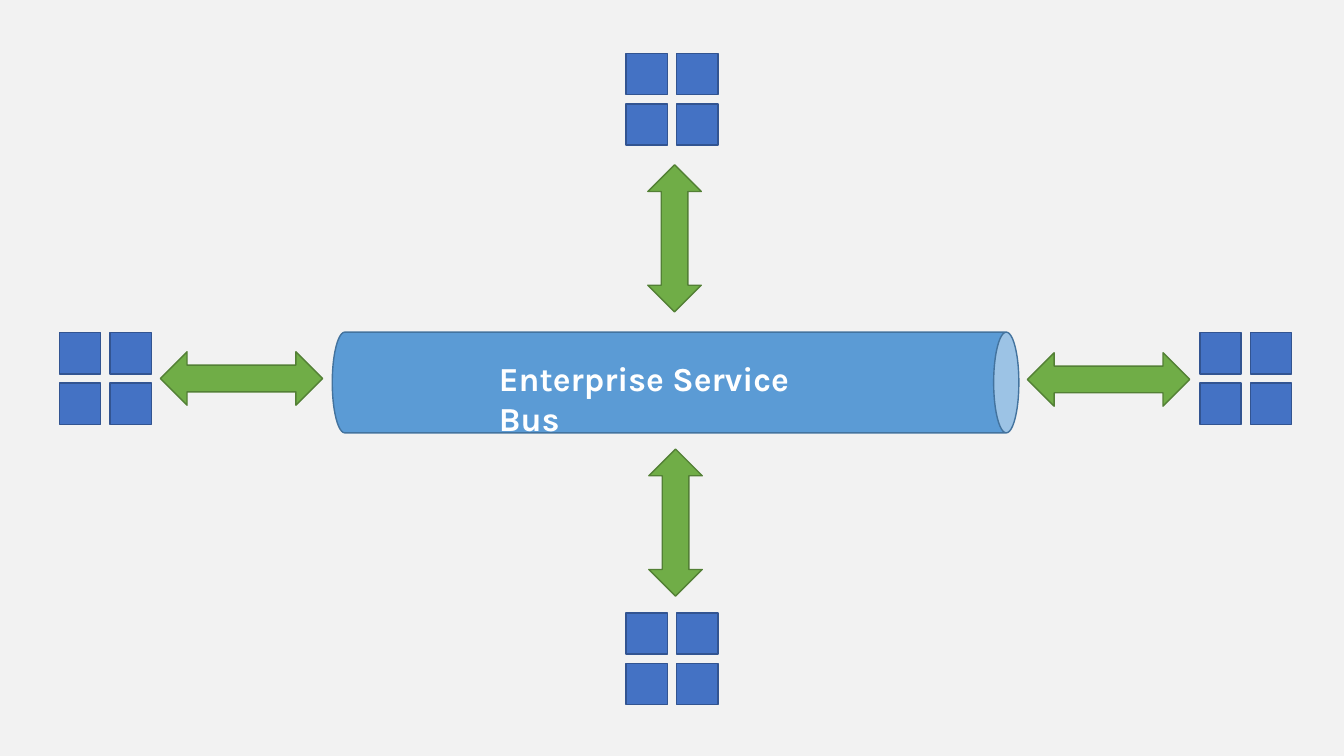
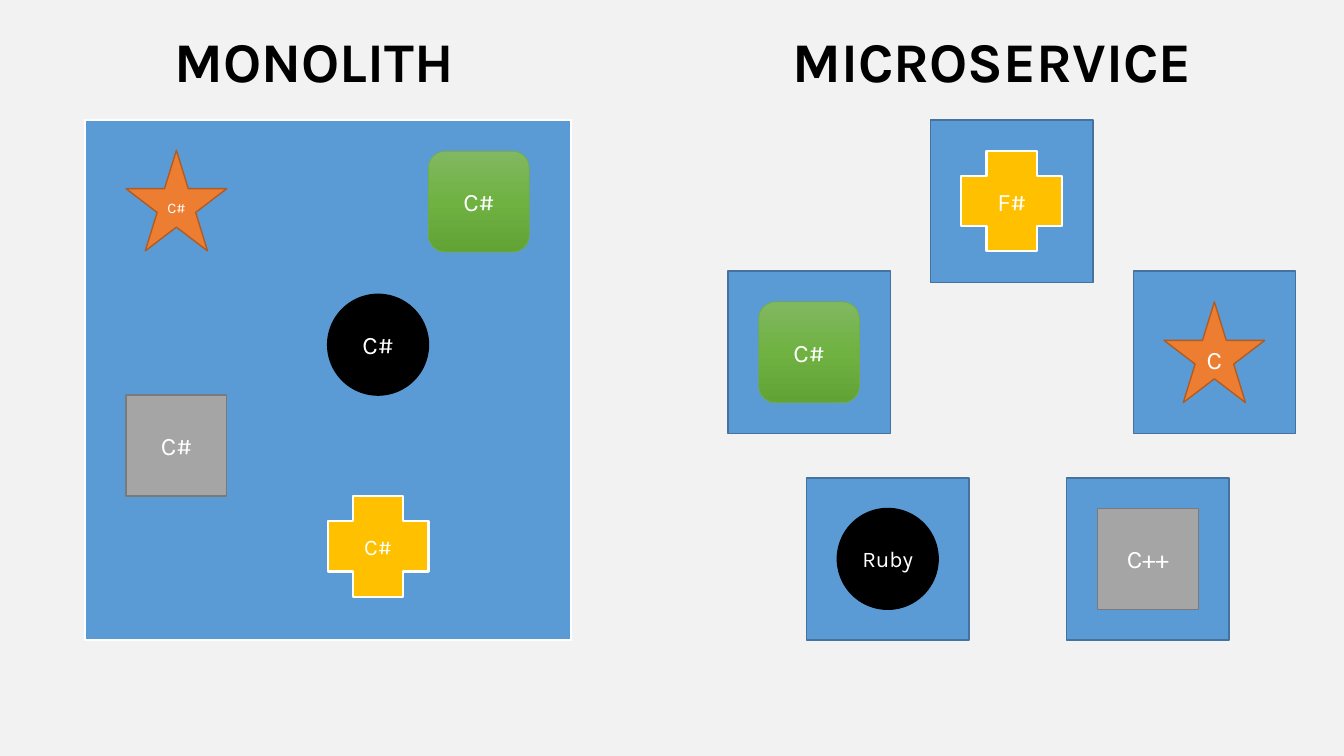
from copy import deepcopy

from pptx import Presentation
from pptx.dml.color import RGBColor
from pptx.enum.shapes import MSO_SHAPE as SHAPE
from pptx.enum.text import MSO_ANCHOR as ANCHOR, PP_ALIGN as ALIGN
from pptx.oxml.ns import qn
from pptx.util import Inches, Pt

FONT = "Karla"
PAPER = RGBColor(0xF2, 0xF2, 0xF2)
WHITE = RGBColor(0xFF, 0xFF, 0xFF)
BLACK = RGBColor(0x00, 0x00, 0x00)
SKY = RGBColor(0x5B, 0x9B, 0xD5)
SKY_EDGE = RGBColor(0x43, 0x73, 0x9E)
BLUE = RGBColor(0x44, 0x72, 0xC4)
BLUE_EDGE = RGBColor(0x32, 0x54, 0x91)
GREEN = RGBColor(0x70, 0xAD, 0x47)
GREEN_EDGE = RGBColor(0x53, 0x80, 0x35)
GREEN_FADE = (RGBColor(0x81, 0xB8, 0x61), RGBColor(0x6F, 0xB2, 0x42),
              RGBColor(0x62, 0xA3, 0x36))
ORANGE = RGBColor(0xED, 0x7D, 0x31)
ORANGE_EDGE = RGBColor(0xAF, 0x5C, 0x24)
GRAY = RGBColor(0xA5, 0xA5, 0xA5)
GRAY_EDGE = RGBColor(0x7A, 0x7A, 0x7A)
GOLD = RGBColor(0xFF, 0xC0, 0x00)

# Service symbols: preset, fill, line colour, line width
STAR = (SHAPE.STAR_5_POINT, ORANGE, ORANGE_EDGE, 1)
SQUARE = (SHAPE.RECTANGLE, GRAY, GRAY_EDGE, 1)
CROSS = (SHAPE.CROSS, GOLD, WHITE, 1.5)
DISC = (SHAPE.OVAL, BLACK, BLACK, 1)
ROUNDED = (SHAPE.ROUNDED_RECTANGLE, GREEN_FADE, GREEN, 0.5)

SYMBOL = 1      # side of a service symbol
TILE = 1.61     # side of a microservice tile
BLOCK = 0.41    # side of one block in a cluster
STEP = 0.5      # distance between blocks in a cluster


def write(tf, text, size=18, color=WHITE, bold=False, align=ALIGN.LEFT,
          anchor=ANCHOR.TOP):
    tf.word_wrap = True
    tf.vertical_anchor = anchor
    p = tf.paragraphs[0]
    p.alignment = align
    r = p.add_run()
    r.text = text
    r.font.name = FONT
    r.font.size = Pt(size)
    r.font.bold = bold
    r.font.color.rgb = color


def fade(fill, colors):
    """Fill from top to bottom with three evenly spaced colours."""
    fill.gradient()
    fill.gradient_angle = 270
    first = fill.gradient_stops[0]
    last = fill.gradient_stops[1]
    first.color.rgb, last.color.rgb = colors[0], colors[2]


class Deck:
    def __init__(self):
        self.prs = Presentation()
        self.prs.slide_width = Inches(13.33)
        self.prs.slide_height = Inches(7.5)
        bg = self.prs.slide_master.background.fill
        bg.solid()
        bg.fore_color.rgb = PAPER
        self.s = None

    def slide(self):
        self.s = self.prs.slides.add_slide(self.prs.slide_layouts[6])

    def shape(self, kind, x, y, w, h, fill, line, width=1, rotation=0,
              parent=None):
        shapes = (parent or self.s).shapes
        sp = shapes.add_shape(kind, Inches(x), Inches(y), Inches(w), Inches(h))
        sp.shadow.inherit = False
        sp.rotation = rotation
        if isinstance(fill, tuple) and not isinstance(fill, RGBColor):
            fade(sp.fill, fill)
            # The middle stop goes between the two standard ones
            stops = sp._element.spPr.find(qn("a:gradFill")).find(qn("a:gsLst"))
            middle = deepcopy(stops[0])
            middle.set("pos", "50000")
            middle.find(qn("a:srgbClr")).set("val", str(fill[1]))
            stops.insert(1, middle)
        else:
            sp.fill.solid()
            sp.fill.fore_color.rgb = fill
        sp.line.color.rgb = line
        sp.line.width = Pt(width)
        return sp

    def label(self, text, x, y, w, h, **style):
        box = self.s.shapes.add_textbox(Inches(x), Inches(y), Inches(w),
                                        Inches(h))
        write(box.text_frame, text, bold=True, **style)

    def title(self, text, x, w):
        self.label(text, x, 0.21, w, 0.77, size=40, color=BLACK)

    def cluster(self, x, y):
        """Group four blocks, two by two."""
        group = self.s.shapes.add_group_shape()
        for i in range(4):
            row, col = divmod(i, 2)
            self.shape(SHAPE.RECTANGLE, x + col * STEP, y + row * STEP,
                       BLOCK, BLOCK, BLUE, BLUE_EDGE, parent=group)

    def arrow(self, x, y, length, rotation=0):
        self.shape(SHAPE.LEFT_RIGHT_ARROW, x, y, length, 0.53, GREEN,
                   GREEN_EDGE, rotation=rotation)

    def symbol(self, look, text, x, y, size=18):
        kind, fill, line, width = look
        sp = self.shape(kind, x, y, SYMBOL, SYMBOL, fill, line, width)
        write(sp.text_frame, text, size=size, align=ALIGN.CENTER,
              anchor=ANCHOR.MIDDLE)

    def tile(self, look, text, x, y, size=18):
        """Put one symbol in the centre of its own tile."""
        self.shape(SHAPE.RECTANGLE, x, y, TILE, TILE, SKY, SKY_EDGE)
        inset = (TILE - SYMBOL) / 2
        self.symbol(look, text, x + inset, y + inset, size)


def bus_slide(deck):
    deck.slide()
    # Service clusters around the bus
    for x, y in ((0.59, 3.3), (6.21, 0.53), (6.21, 6.08), (11.9, 3.3)):
        deck.cluster(x, y)
    # Bus
    deck.shape(SHAPE.CAN, 6.2, 0.39, 1, 6.81, SKY, SKY_EDGE, rotation=90)
    # Arrows between bus and clusters
    for x, y in ((1.59, 3.49), (10.19, 3.5)):
        deck.arrow(x, y, 1.61)
    for x, y in ((5.97, 4.92), (5.96, 2.1)):
        deck.arrow(x, y, 1.46, rotation=90)
    deck.label("Enterprise Service Bus", 4.85, 3.5, 3.69, 0.5, size=24)


def comparison_slide(deck):
    deck.slide()
    # Monolith: all symbols in one box
    deck.title("MONOLITH", 1.63, 3.26)
    deck.shape(SHAPE.RECTANGLE, 0.84, 1.19, 4.82, 5.16, SKY, WHITE, 1.5)
    for look, x, y, size in ((STAR, 1.25, 1.49, 10.5), (SQUARE, 1.25, 3.92, 18),
                             (CROSS, 3.25, 4.92, 16), (DISC, 3.25, 2.92, 18),
                             (ROUNDED, 4.25, 1.5, 18)):
        deck.symbol(look, "C#", x, y, size)
    # Microservices: one tile for each symbol
    deck.title("MICROSERVICE", 7.76, 4.23)
    deck.tile(ROUNDED, "C#", 7.22, 2.69)
    deck.tile(CROSS, "F#", 9.23, 1.19)
    deck.tile(STAR, "C", 11.24, 2.69)
    deck.tile(SQUARE, "C++", 10.58, 4.74)
    deck.tile(DISC, "Ruby", 8, 4.74, size=16)


def main():
    deck = Deck()
    bus_slide(deck)
    comparison_slide(deck)
    deck.prs.save("out.pptx")


if __name__ == "__main__":
    main()
